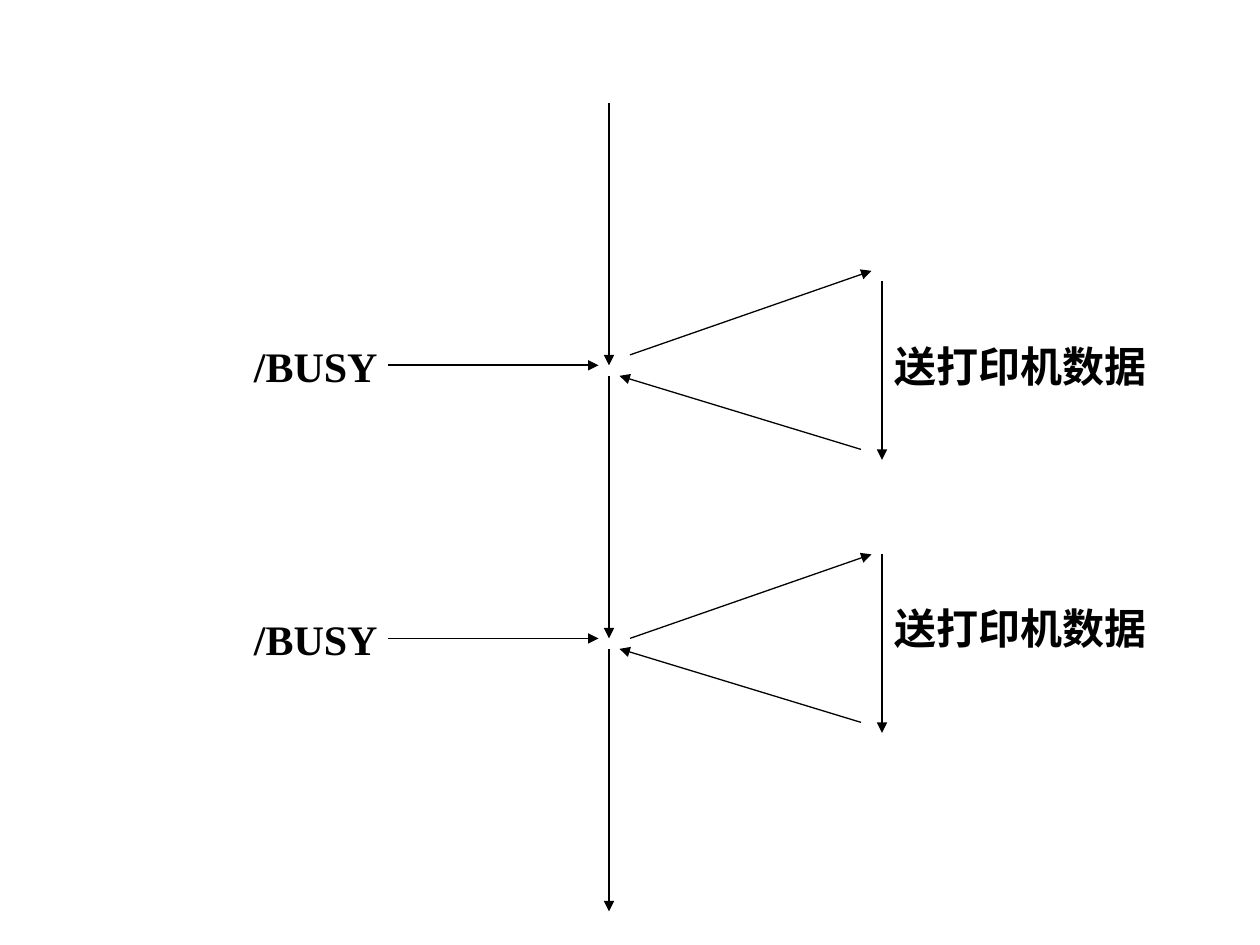
from dataclasses import dataclass

import lxml.etree
import pptx
import pptx.dml.color
import pptx.enum.shapes
import pptx.enum.text
import pptx.oxml.ns
import pptx.util

CELL = 1 / 12  # grid pitch in inches
TOP_OFFSET = -0.0167  # inches from the slide's top edge to row 0
BLACK = "000000"
FONT = "Times New Roman"

MAIN_COLUMN = 58
SERVICE_COLUMN = 84
LABEL_ROWS = 6


@dataclass(frozen=True)
class Interrupt:
    """Grid rows of one interruption of the main program."""
    request: int
    leave: int
    enter: int
    service_start: int
    service_label: int


INTERRUPTS = [
    Interrupt(request=35, leave=34, enter=26, service_start=27, service_label=32),
    Interrupt(request=61, leave=61, enter=53, service_start=53, service_label=57),
]
MAIN_START, MAIN_END = 10, 87


def colour(value: str) -> pptx.dml.color.RGBColor:
    return pptx.dml.color.RGBColor.from_string(value)


def across(column: float) -> int:
    return pptx.util.Inches(column * CELL)


def down(row: float) -> int:
    return pptx.util.Inches(TOP_OFFSET + row * CELL)


def add_arrow(page, start: tuple, end: tuple, weight: float) -> None:
    """Draw an arrow between two (column, row) points."""
    arrow = page.shapes.add_connector(
        pptx.enum.shapes.MSO_CONNECTOR.STRAIGHT,
        across(start[0]), down(start[1]), across(end[0]), down(end[1]))
    arrow.line.width = pptx.util.Pt(weight)
    arrow.line.color.rgb = colour(BLACK)
    properties = arrow._element.spPr
    tail = lxml.etree.SubElement(arrow.line._get_or_add_ln(),
                                 pptx.oxml.ns.qn("a:tailEnd"))
    tail.set("type", "triangle")
    lxml.etree.SubElement(properties, pptx.oxml.ns.qn("a:effectLst"))


def add_label(page, text: str, column: int, row: int, columns: int) -> None:
    box = page.shapes.add_textbox(across(column), down(row),
                                  across(columns), across(LABEL_ROWS))
    frame = box.text_frame
    frame.word_wrap = True
    frame.auto_size = pptx.enum.text.MSO_AUTO_SIZE.SHAPE_TO_FIT_TEXT
    span = frame.paragraphs[0].add_run()
    span.text = text
    span.font.name = FONT
    span.font.size = pptx.util.Pt(24)
    span.font.bold = True
    span.font.color.rgb = colour(BLACK)


def add_interrupt(page, step: Interrupt) -> None:
    service_end = step.request + 9
    add_label(page, "/BUSY", 23, step.request - 3, 20)
    add_arrow(page, (37, step.request), (MAIN_COLUMN - 1, step.request), 1)
    add_arrow(page, (MAIN_COLUMN + 2, step.leave),
              (SERVICE_COLUMN - 1, step.enter), 0.75)
    add_arrow(page, (SERVICE_COLUMN, step.service_start),
              (SERVICE_COLUMN, service_end), 1.5)
    add_label(page, "送打印机数据", SERVICE_COLUMN, step.service_label, 29)
    add_arrow(page, (SERVICE_COLUMN - 2, service_end - 1),
              (MAIN_COLUMN + 1, step.request + 1), 0.75)


def main() -> None:
    deck = pptx.Presentation()
    deck.slide_width = pptx.util.Inches(10)
    deck.slide_height = pptx.util.Inches(7.5)
    page = deck.slides.add_slide(deck.slide_layouts[6])

    start = MAIN_START
    for step in INTERRUPTS:
        add_arrow(page, (MAIN_COLUMN, start), (MAIN_COLUMN, step.request), 1.5)
        add_interrupt(page, step)
        start = step.request + 1
    add_arrow(page, (MAIN_COLUMN, start), (MAIN_COLUMN, MAIN_END), 1.5)

    deck.save("out.pptx")


if __name__ == "__main__":
    main()
